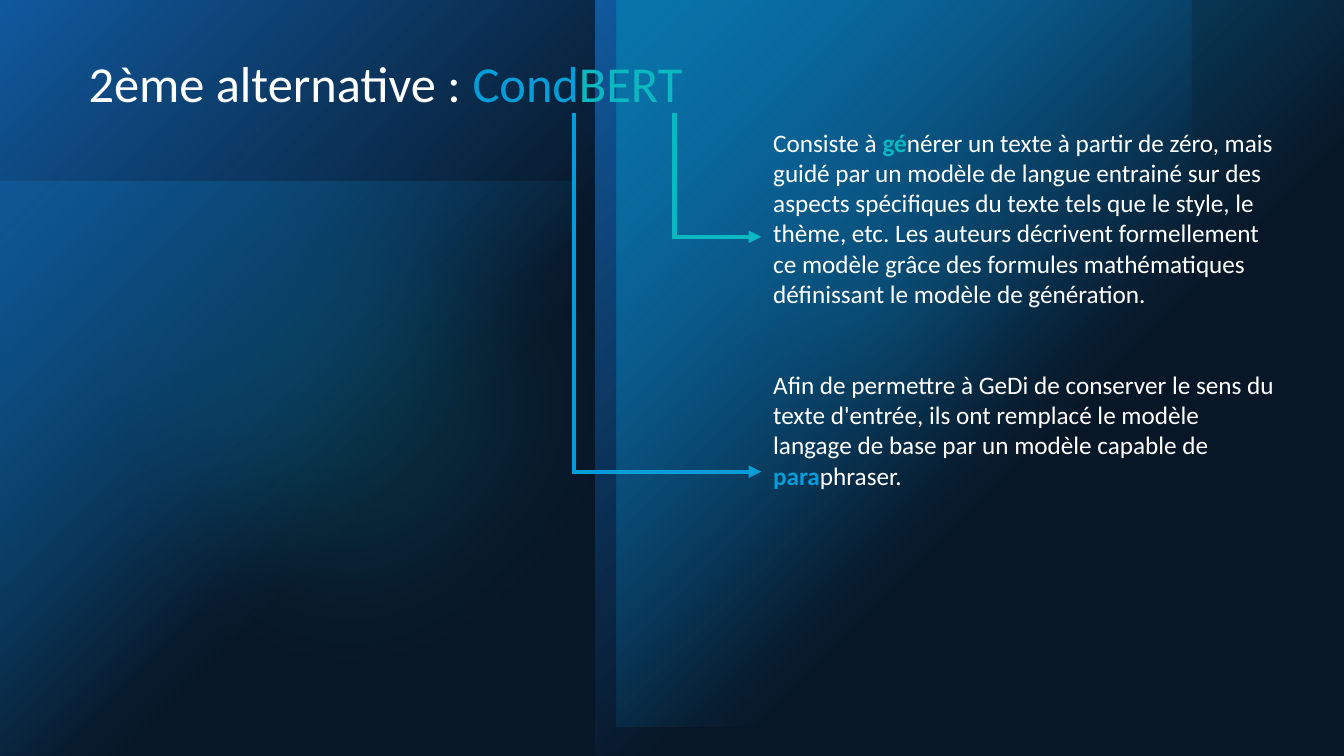
from lxml import etree
from pptx import Presentation
from pptx.dml.color import RGBColor as RGB
from pptx.enum.shapes import MSO_CONNECTOR as LINE, MSO_SHAPE as SHAPE
from pptx.enum.text import MSO_ANCHOR as ANCHOR
from pptx.oxml.ns import qn
from pptx.util import Inches, Pt

BLACK = RGB(0, 0, 0)
WHITE = RGB(0xFF, 0xFF, 0xFF)
BLUE = RGB(0x0F, 0x6F, 0xC6)
SKY = RGB(0x00, 0x9D, 0xD9)
TEAL = RGB(0x09, 0xB8, 0xC0)
NAVY = RGB(0x15, 0x3A, 0x63)
WIDE, HIGH = 13.33, 7.5


def node(base, tag, **attrs):
    """Add a DrawingML child with its attributes."""
    return etree.SubElement(base, qn("a:" + tag), attrs)


def plain(slide, kind, box):
    """Place a shape without outline or shadow."""
    shape = slide.shapes.add_shape(kind, *map(Inches, box))
    shape.shadow.inherit = False
    shape.line.fill.background()
    return shape


def tint(slide, kind, box, color, alpha, soft=0):
    """Draw a see-through shape, with a soft edge in inches if given."""
    shape = plain(slide, kind, box)
    shape.fill.solid()
    shape.fill.fore_color.rgb = color
    props = shape._element.spPr
    tone = props.find(qn("a:solidFill"))[0]
    node(tone, "alpha", val=str(alpha * 1000))
    if soft:
        effects = props.find(qn("a:effectLst"))
        node(effects, "softEdge", rad=str(Inches(soft)))


def fade(slide, box, color, alpha=100):
    """Draw a panel that fades out from its top left corner."""
    shape = plain(slide, SHAPE.RECTANGLE, box)
    shape.fill.gradient()
    shape.fill.gradient_angle = 315
    grad = shape._element.spPr.find(qn("a:gradFill"))
    stops = grad.find(qn("a:gsLst"))
    for stop in list(stops):
        stops.remove(stop)
    for pos, level in ((0, alpha), (60, 0)):
        stop = node(stops, "gs", pos=str(pos * 1000))
        tone = node(stop, "srgbClr", val=str(color))
        node(tone, "alpha", val=str(level * 1000))
    grad.find(qn("a:lin")).set("scaled", "0")


def write(slide, box, paras, size, spacing=None, gap=0, anchor=ANCHOR.TOP):
    """Write paragraphs of (text, colour, bold) runs in a box."""
    frame = slide.shapes.add_textbox(*map(Inches, box)).text_frame
    frame.word_wrap = True
    frame.vertical_anchor = anchor
    for i, runs in enumerate(paras):
        para = frame.add_paragraph() if i else frame.paragraphs[0]
        para.line_spacing = spacing
        para.space_before = Pt(gap if i else 0)
        for text, color, bold in runs:
            run = para.add_run()
            run.text = text
            font = run.font
            font.name, font.size, font.bold = "Calibri", Pt(size), bold
            font.color.rgb = color


def stroke(slide, start, end, color, head=False):
    """Draw a straight line, with an arrowhead if asked."""
    line = slide.shapes.add_connector(
        LINE.STRAIGHT, *map(Inches, (*start, *end)))
    line.line.color.rgb = color
    line.line.width = Pt(3)
    if head:
        node(line.line._get_or_add_ln(), "tailEnd", type="triangle")
    node(line._element.spPr, "effectLst")


def elbow(slide, box, color):
    """Lead down the left side of a box, then right along its foot."""
    left, top, width, height = box
    foot = top + height
    stroke(slide, (left - 0.02, foot), (left + width, foot), color, True)
    stroke(slide, (left, foot), (left, top), color)


def backdrop(slide, box):
    """Layer the glowing panels over black."""
    left, top, width, height = box
    half, side = 5.91, 7.21
    low = 5.71
    fill = slide.background.fill
    fill.solid()
    fill.fore_color.rgb = BLACK
    fade(slide, (left, top + 1.8, low, low), SKY, 60)
    tint(slide, SHAPE.OVAL, (left + 6.29, top + 0.43, 4.72, 4.72),
         TEAL, 60, 1.39)
    tint(slide, SHAPE.OVAL, (left, top + 0.56, 6.94, 6.94), TEAL, 20, 1.39)
    for col in range(2):
        fade(slide, (left + col * half, top, half, height), BLUE)
    fade(slide, (left + width - side, top, side, side), SKY)
    tint(slide, SHAPE.RECTANGLE, box, NAVY, 40)


def heading(slide, box):
    """Write the title with its two-colour name."""
    runs = [("2ème alternative : ", WHITE, False),
            ("Cond", SKY, False), ("BERT", TEAL, False)]
    write(slide, box, [runs], 36, spacing=0.9, anchor=ANCHOR.MIDDLE)


def detail(slide, box):
    """Write both explanations and lead to them from the title."""
    left, top = box[:2]
    first = [
        ("Consiste à ", WHITE, False), ("gé", TEAL, True),
        ("nérer un texte à partir de zéro, mais guidé par un modèle de "
         "langue entrainé sur des aspects spécifiques du texte tels que le "
         "style, le thème, etc. Les auteurs décrivent formellement ce modèle "
         "grâce des formules mathématiques définissant le modèle de "
         "génération.", WHITE, False)]
    second = [
        ("Afin de permettre à GeDi de conserver le sens du texte d'entrée, "
         "ils ont remplacé le modèle langage de base par un modèle capable "
         "de ", WHITE, False),
        ("para", SKY, True), ("phraser.", WHITE, False)]
    for width, height, color in ((1.86, 3.56, SKY), (0.86, 1.23, TEAL)):
        elbow(slide, (left - 0.02 - width, top - 0.09, width, height), color)
    write(slide, box, [first, second], 18, gap=43.5)


def main():
    """Build and save the slide."""
    deck = Presentation()
    deck.slide_width, deck.slide_height = Inches(WIDE), Inches(HIGH)
    slide = deck.slides.add_slide(deck.slide_layouts[6])
    backdrop(slide, (0, 0, WIDE, HIGH))
    heading(slide, (0.78, 0.51, 7.35, 0.69))
    detail(slide, (7.57, 1.21, 5.18, 4.04))
    deck.save("out.pptx")


if __name__ == "__main__":
    main()
